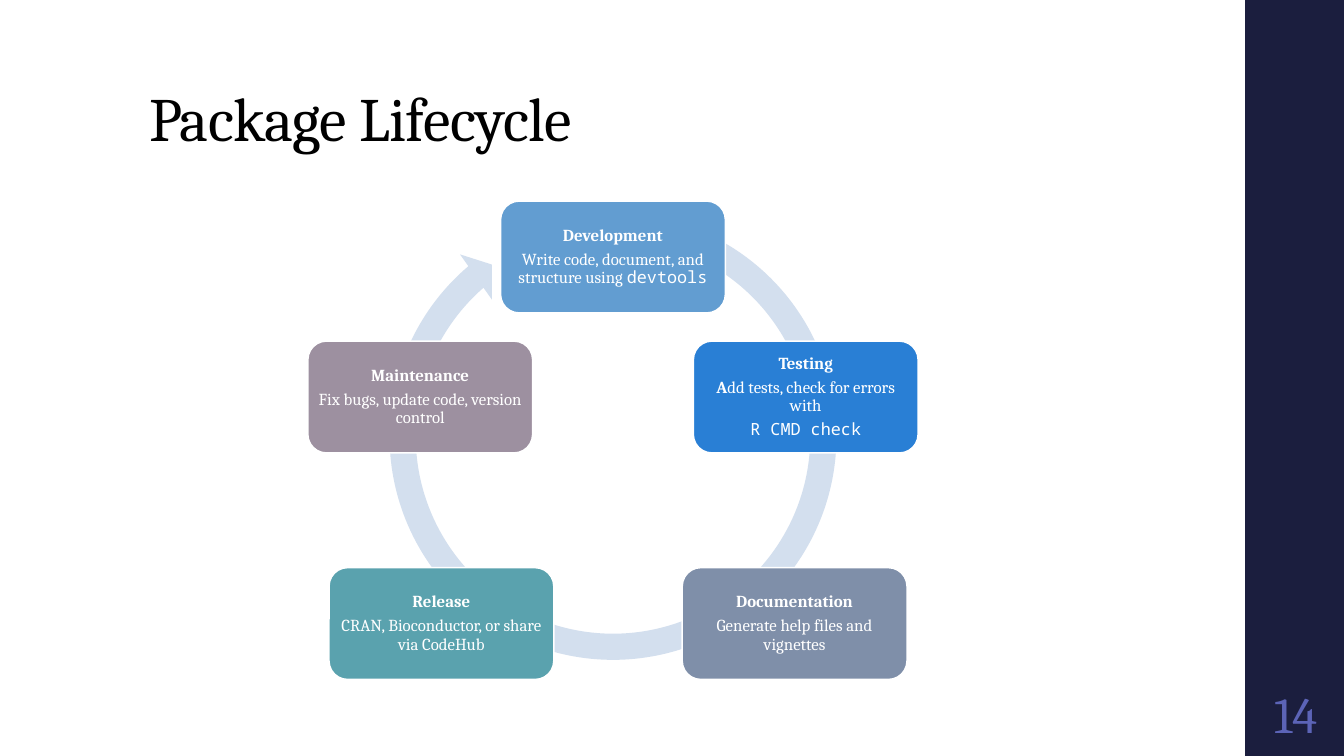
"""Build the Package Lifecycle slide: five stage cards around a circular arrow."""
import math

from pptx import Presentation
from pptx import util as u
from pptx.dml.color import RGBColor
from pptx.enum import shapes, text

WHITE = RGBColor(0xFF, 0xFF, 0xFF)
BLACK = RGBColor(0x00, 0x00, 0x00)
NAVY = RGBColor(0x1B, 0x1E, 0x3E)
VIOLET = RGBColor(0x5C, 0x64, 0xB7)
PALE_BLUE = RGBColor(0xD3, 0xDF, 0xEE)
SKY = RGBColor(0x62, 0x9D, 0xD1)
BLUE = RGBColor(0x29, 0x7F, 0xD5)
SLATE = RGBColor(0x7F, 0x8F, 0xA9)
TEAL = RGBColor(0x5A, 0xA2, 0xAE)
MAUVE = RGBColor(0x9D, 0x90, 0xA0)

TITLE = "Package Lifecycle"
PAGE_NUMBER = "14"
TITLE_FONT = {"name": "Cambria", "size": u.Pt(44)}
NUMBER_FONT = {"name": "Cambria", "size": u.Pt(36)}
PLAIN = {"name": "Cambria", "size": u.Pt(12), "bold": False}
BOLD = {**PLAIN, "bold": True}
CODE = {**PLAIN, "name": "Noto Sans Mono"}

STAGES = [
    ("Development", SKY, 0,
     [[("Write code, document, and structure using ", PLAIN), ("devtools", CODE)]]),
    ("Testing", BLUE, 0,
     [[("A", BOLD), ("dd tests, check for errors with", PLAIN)], [("R CMD check", CODE)]]),
    ("Documentation", SLATE, 0.62, [[("Generate help files and vignettes", PLAIN)]]),
    ("Release", TEAL, -0.52, [[("CRAN, Bioconductor, or share via CodeHub", PLAIN)]]),
    ("Maintenance", MAUVE, 0, [[("Fix bugs, update code, version control", PLAIN)]]),
]

CENTER_X, CENTER_Y, RADIUS = 6.08, 4.56, 2.01
CARD_WIDTH, CARD_HEIGHT = 2.23, 1.11
RING_BOX = (3.72, 1.97, 4.72, 4.72)
RING_ADJUSTMENTS = (0.055, 3.307, 137.597, 173.959, 0.058)
SIDEBAR_LEFT, SIDEBAR_WIDTH = 12.35, 0.98
INSET = u.Inches(0.05)
CARD_FRAME = {"word_wrap": True, "vertical_anchor": text.MSO_ANCHOR.MIDDLE,
              "margin_left": INSET, "margin_right": INSET,
              "margin_top": INSET, "margin_bottom": INSET}
TITLE_FRAME = {"word_wrap": True, "vertical_anchor": text.MSO_ANCHOR.BOTTOM}
CARD_PARAGRAPH = {"alignment": text.PP_ALIGN.CENTER, "line_spacing": 0.9,
                  "space_after": u.Pt(4.2)}


def apply(target, values):
    for name, value in values.items():
        setattr(target, name, value)


def add_block(slide, kind, box, color):
    shape = slide.shapes.add_shape(kind, *map(u.Inches, box))
    shape.shadow.inherit = False
    shape.fill.solid()
    shape.fill.fore_color.rgb = color
    shape.line.fill.background()
    return shape


def write(shape, paragraphs, frame_values, paragraph_values, color):
    frame = shape.text_frame
    apply(frame, frame_values)
    for index, runs in enumerate(paragraphs):
        paragraph = frame.add_paragraph() if index else frame.paragraphs[0]
        apply(paragraph, paragraph_values)
        for words, font_values in runs:
            run = paragraph.add_run()
            run.text = words
            apply(run.font, font_values)
            run.font.color.rgb = color


def add_text(slide, box, *content):
    shape = slide.shapes.add_textbox(*map(u.Inches, box))
    write(shape, *content)
    return shape


def add_cycle(slide):
    ring = add_block(slide, shapes.MSO_SHAPE.CIRCULAR_ARROW, RING_BOX, PALE_BLUE)
    for index, value in enumerate(RING_ADJUSTMENTS):
        ring.adjustments[index] = value
    for index, (name, color, shift, details) in enumerate(STAGES):
        angle = math.tau * index / len(STAGES)
        left = CENTER_X + RADIUS * math.sin(angle) + shift - CARD_WIDTH / 2
        top = CENTER_Y - RADIUS * math.cos(angle) - CARD_HEIGHT / 2
        card = add_block(slide, shapes.MSO_SHAPE.ROUNDED_RECTANGLE,
                         (left, top, CARD_WIDTH, CARD_HEIGHT), color)
        card.line.color.rgb = WHITE
        card.line.width = u.Pt(1.1)
        write(card, [[(name, BOLD)], *details], CARD_FRAME, CARD_PARAGRAPH, WHITE)


def main():
    presentation = Presentation()
    presentation.slide_width = u.Inches(13.33)
    presentation.slide_height = u.Inches(7.5)
    slide = presentation.slides.add_slide(presentation.slide_layouts[6])
    add_block(slide, shapes.MSO_SHAPE.RECTANGLE, (SIDEBAR_LEFT, 0, SIDEBAR_WIDTH, 7.5), NAVY)
    title = add_text(slide, (1.38, 0.13, 10.6, 1.45), [[(TITLE, TITLE_FONT)]],
                     TITLE_FRAME, {"line_spacing": 0.9}, BLACK)
    title.text_frame.paragraphs[0].runs[0].font._element.set("spc", "-50")
    add_text(slide, (SIDEBAR_LEFT, 6.75, 1, 0.65), [[(PAGE_NUMBER, NUMBER_FONT)]],
             CARD_FRAME, {"alignment": text.PP_ALIGN.CENTER}, VIOLET)
    add_cycle(slide)
    presentation.save("out.pptx")


if __name__ == "__main__":
    main()
